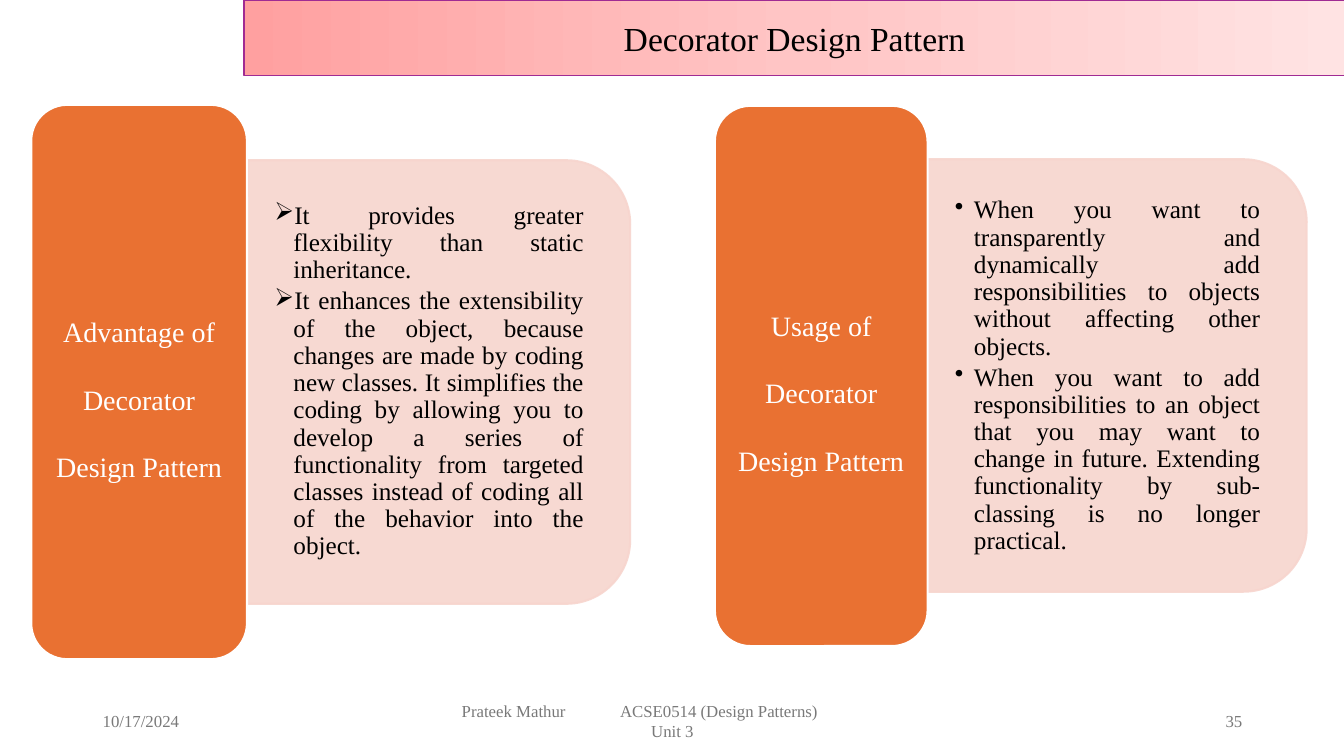
from dataclasses import dataclass

from lxml import etree
from pptx import Presentation
from pptx import util as u
from pptx.dml.color import RGBColor
from pptx.enum import shapes, text
from pptx.oxml import ns

SHAPE = shapes.MSO_SHAPE
ALIGN = text.PP_ALIGN


@dataclass(frozen=True)
class Theme:
    font: str = "Times New Roman"
    label: str = "E97132"
    panel: str = "F7D5CE"
    panel_alpha: int = 90
    banner_line: str = "A02B93"
    banner_stops: tuple = ((0, "FFA0A0"), (50, "FFC5C5"), (100, "FFE3E3"))
    white: str = "FFFFFF"
    black: str = "000000"
    grey: str = "797979"
    title_size: int = 24
    label_size: int = 20
    body_size: int = 18
    footer_size: int = 12


@dataclass(frozen=True)
class Box:
    x: float
    y: float
    w: float
    h: float

    def inches(self) -> list:
        return [u.Inches(v) for v in (self.x, self.y, self.w, self.h)]


@dataclass(frozen=True)
class Card:
    label: str
    label_box: Box
    panel_box: Box
    body_box: Box
    bullet: str
    points: tuple


@dataclass(frozen=True)
class Footer:
    box: Box
    lines: tuple
    align: ALIGN
    margin: float = 0.1


T = Theme()

CARDS = (
    Card("Usage of Decorator Design Pattern",
         Box(7.09, 1.05, 2.11, 5.36), Box(9.2, 1.58, 3.76, 4.29),
         Box(9.2, 1.77, 3.57, 3.92), "•",
         ("When you want to transparently and dynamically add responsibilities "
          "to objects without affecting other objects.",
          "When you want to add responsibilities to an object that you may want "
          "to change in future. Extending functionality by sub-classing is no "
          "longer practical.")),
    Card("Advantage of Decorator Design Pattern",
         Box(0.31, 1.04, 2.14, 5.5), Box(2.45, 1.59, 3.8, 4.4),
         Box(2.45, 1.77, 3.61, 4.03), "➢",
         ("It provides greater flexibility than static inheritance.",
          "It enhances the extensibility of the object, because changes are made "
          "by coding new classes. It simplifies the coding by allowing you to "
          "develop a series of functionality from targeted classes instead of "
          "coding all of the behavior into the object.")),
)

FOOTERS = (
    Footer(Box(0.92, 6.95, 3, 0.4), ("10/17/2024",), ALIGN.LEFT),
    Footer(Box(4.42, 6.95, 4.5, 0.4),
           ("Prateek Mathur\tACSE0514 (Design Patterns)", "Unit 3"),
           ALIGN.CENTER, 0.16),
    Footer(Box(9.42, 6.95, 3, 0.4), ("35",), ALIGN.RIGHT),
)
COURSE_TAB = 1.57


def set_all(obj, formats: dict) -> None:
    for name, value in formats.items():
        setattr(obj, name, value)


def add_xml(parent, tag: str, **attrs):
    el = etree.SubElement(parent, ns.qn(tag))
    for name, value in attrs.items():
        el.set(name, str(value))
    return el


def set_font(p, size: int, color: str) -> None:
    for r in p.runs:
        set_all(r.font, {"name": T.font, "size": u.Pt(size)})
        r.font.color.rgb = RGBColor.from_string(color)


def set_frame(tf, dx: float = 0.1, dy: float = 0.05) -> None:
    set_all(tf, {"word_wrap": True, "vertical_anchor": text.MSO_ANCHOR.MIDDLE,
                 "margin_left": u.Inches(dx), "margin_right": u.Inches(dx),
                 "margin_top": u.Inches(dy), "margin_bottom": u.Inches(dy)})


def write(tf, lines: tuple, size: int, color: str, formats: dict) -> list:
    """Put one paragraph per line into the frame and return the paragraphs."""
    tf.text = "\n".join(lines)
    for p in tf.paragraphs:
        set_all(p, formats)
        set_font(p, size, color)
    return list(tf.paragraphs)


def add_block(s, kind: SHAPE, box: Box, fill: str, line: str, width: float):
    sp = s.shapes.add_shape(kind, *box.inches())
    sp.shadow.inherit = False
    sp.fill.solid()
    sp.fill.fore_color.rgb = RGBColor.from_string(fill)
    sp.line.color.rgb = RGBColor.from_string(line)
    sp.line.width = u.Pt(width)
    return sp


def add_panel(s, box: Box) -> None:
    """Draw a panel rounded on its right side: a top-rounded shape turned by 90°."""
    dx = (box.w - box.h) / 2
    turned = Box(box.x + dx, box.y - dx, box.h, box.w)
    sp = add_block(s, SHAPE.ROUND_2_SAME_RECTANGLE, turned, T.panel, T.panel, 1.5)
    sp.rotation = 90
    for color in sp._element.spPr.iter(ns.qn("a:srgbClr")):
        add_xml(color, "a:alpha", val=T.panel_alpha * 1000)


def add_card(s, card: Card) -> None:
    add_panel(s, card.panel_box)
    tf = s.shapes.add_textbox(*card.body_box.inches()).text_frame
    set_frame(tf, 0.27, 0.14)
    points = write(tf, card.points, T.body_size, T.black,
                   {"alignment": ALIGN.JUSTIFY, "level": 1, "line_spacing": 0.9,
                    "space_after": u.Pt(2.7)})
    hang = u.Inches(0.19)
    for p in points:
        pPr = p._p.get_or_add_pPr()
        pPr.set("marL", str(hang))
        pPr.set("indent", str(-hang))
        add_xml(pPr, "a:buChar", char=card.bullet)

    sp = add_block(s, SHAPE.ROUNDED_RECTANGLE, card.label_box, T.label, T.white, 1.5)
    set_frame(sp.text_frame, 0.08, 0.04)
    write(sp.text_frame, (card.label,), T.label_size, T.white,
          {"alignment": ALIGN.CENTER, "line_spacing": 2.0, "space_after": u.Pt(7)})


def add_footer(s, footer: Footer) -> None:
    tf = s.shapes.add_textbox(*footer.box.inches()).text_frame
    set_frame(tf, footer.margin)
    for p in write(tf, footer.lines, T.footer_size, T.grey, {"alignment": footer.align}):
        if "\t" in p.text:
            p.alignment = ALIGN.LEFT
            tabs = add_xml(p._p.get_or_add_pPr(), "a:tabLst")
            add_xml(tabs, "a:tab", pos=u.Inches(COURSE_TAB), algn="l")


def add_banner(s, title: str) -> None:
    sp = add_block(s, SHAPE.RECTANGLE, Box(2.42, 0, 10.92, 0.75),
                   T.white, T.banner_line, 1)
    sp.fill.gradient()
    sp.fill.gradient_angle = 0
    stops = sp._element.spPr.find(".//" + ns.qn("a:gsLst"))
    for stop in list(stops):
        stops.remove(stop)
    for pos, color in T.banner_stops:
        add_xml(add_xml(stops, "a:gs", pos=pos * 1000), "a:srgbClr", val=color)
    set_frame(sp.text_frame)
    write(sp.text_frame, (title,), T.title_size, T.black, {"alignment": ALIGN.CENTER})


def main() -> None:
    prs = Presentation()
    set_all(prs, {"slide_width": u.Inches(13.33), "slide_height": u.Inches(7.5)})
    s = prs.slides.add_slide(prs.slide_layouts[6])
    for card in CARDS:
        add_card(s, card)
    for footer in FOOTERS:
        add_footer(s, footer)
    add_banner(s, "Decorator Design Pattern")
    prs.save("out.pptx")


if __name__ == "__main__":
    main()
